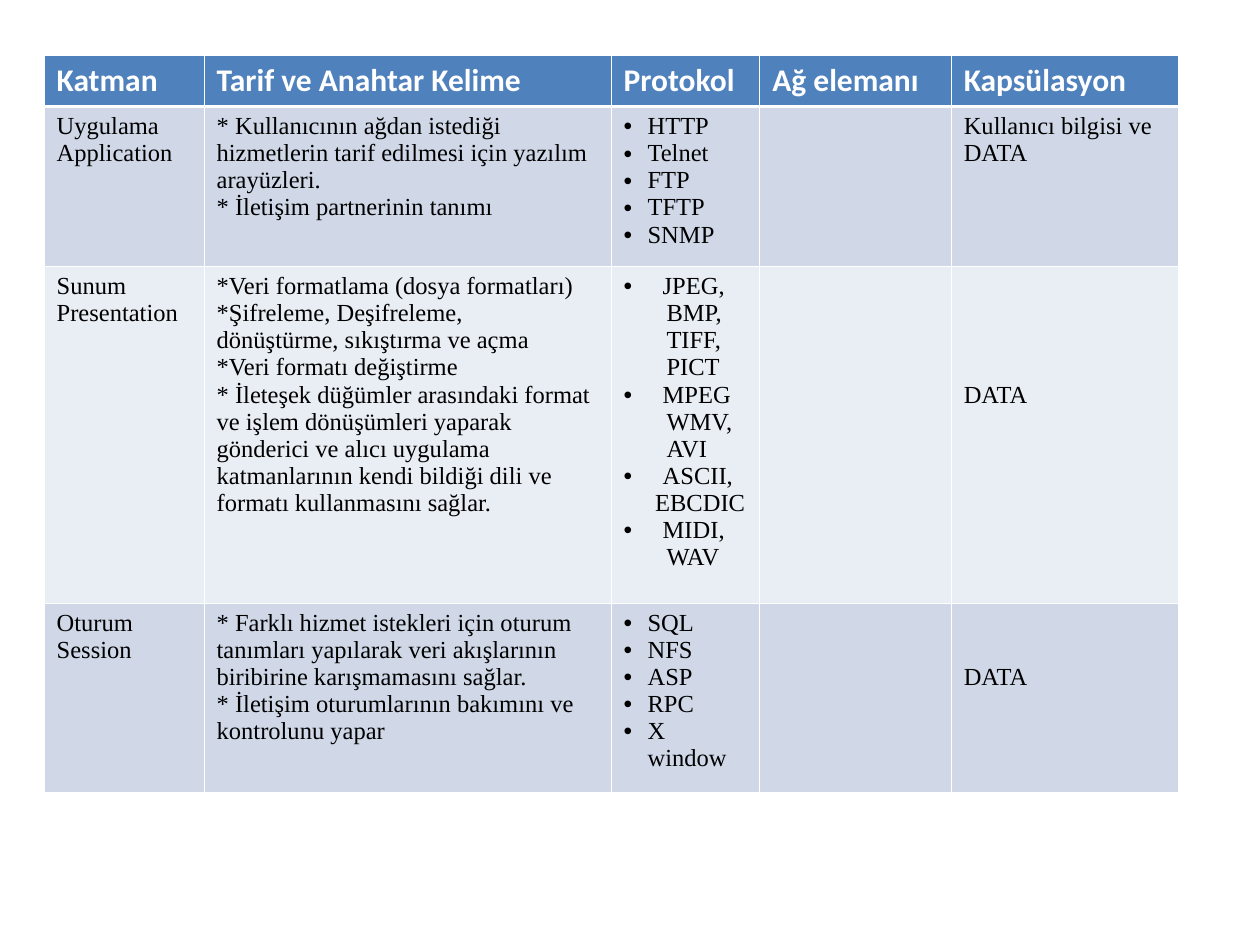
from dataclasses import dataclass

from lxml.etree import SubElement
from pptx import Presentation
from pptx.dml.color import RGBColor as Rgb
from pptx.oxml import parse_xml
from pptx.oxml.ns import nsdecls, qn
from pptx.util import Inches, Pt


@dataclass(frozen=True)
class Theme:
    head: str = "4F81BD"
    bands: tuple = ("D0D8E8", "E9EDF4")
    white: str = "FFFFFF"
    black: str = "000000"
    thin: float = 0.45
    thick: float = 1.47


@dataclass(frozen=True)
class Line:
    text: str
    left: float = 0
    dot: bool = False


LOOK = Theme()
HEAD_FONT = {"name": "Calibri", "size": Pt(18), "bold": True}
BODY_FONT = {"name": "Times New Roman", "size": Pt(14), "bold": False}
PAD = {"margin_left": 0.1, "margin_right": 0.1,
       "margin_top": 0.05, "margin_bottom": 0.05}
ROW_STEP = 0.215  # height of one body line

COLS = (1.27, 3.23, 1.18, 1.52, 1.8)
ROWS = (0.4, 1.27, 2.67, 1.5)
HEADS = ("Katman", "Tarif ve Anahtar Kelime", "Protokol", "Ağ elemanı",
         "Kapsülasyon")


def plain(*texts):
    return [Line(text) for text in texts]


def dots(*texts, left=0.19):
    return [Line(text, left, True) for text in texts]


def group(first, *rest, left=0.34):
    """A bullet with further lines set below it."""
    return dots(first, left=0.31) + [Line(text, left) for text in rest]


# Per layer: cell lines, and how many lines down the last cell starts
LAYERS = (
    ((plain("Uygulama", "Application"),
      plain("* Kullanıcının ağdan istediği hizmetlerin tarif edilmesi için "
            "yazılım arayüzleri.",
            "* İletişim partnerinin tanımı"),
      dots("HTTP", "Telnet", "FTP", "TFTP", "SNMP"),
      [],
      plain("Kullanıcı bilgisi ve DATA")), 0),
    ((plain("Sunum", "Presentation"),
      plain("*Veri formatlama (dosya formatları)",
            "*Şifreleme, Deşifreleme,\vdönüştürme, sıkıştırma ve açma",
            "*Veri formatı değiştirme",
            "* İleteşek düğümler arasındaki format ve işlem dönüşümleri "
            "yaparak gönderici ve alıcı uygulama katmanlarının kendi bildiği "
            "dili ve formatı kullanmasını sağlar."),
      group("JPEG,", "BMP,", "TIFF,", "PICT")
      + group("MPEG", "WMV,", "AVI")
      + group("ASCII,", "EBCDIC", left=0.25)
      + group("MIDI,", "WAV"),
      [],
      plain("DATA")), 4),
    ((plain("Oturum", "Session"),
      plain("* Farklı hizmet istekleri için oturum tanımları yapılarak veri "
            "akışlarının biribirine karışmamasını sağlar.",
            "* İletişim oturumlarının bakımını ve kontrolunu yapar"),
      dots("SQL", "NFS", "ASP", "RPC", "X window"),
      [],
      plain("DATA")), 2),
)


def indent(para, line):
    """Set the left indent and, if wanted, the bullet."""
    props = para._p.get_or_add_pPr()
    props.set("marL", str(Inches(line.left)))
    props.set("indent", str(-Inches(line.left) if line.dot else 0))
    if line.dot:
        tint = SubElement(props, qn("a:buClr"))
        SubElement(tint, qn("a:srgbClr")).set("val", LOOK.black)
        SubElement(props, qn("a:buFont")).set("typeface", "Arial")
        SubElement(props, qn("a:buChar")).set("char", "•")


def write(cell, lines, font, color):
    frame = cell.text_frame
    for num, line in enumerate(lines):
        para = frame.add_paragraph() if num else frame.paragraphs[0]
        indent(para, line)
        para.text = line.text
        for run in para.runs:
            for key, value in font.items():
                setattr(run.font, key, value)
            run.font.color.rgb = Rgb.from_string(color)


def edge(cell, top, base):
    """Draw the four white borders; they go before the fill."""
    widths = {"lnL": LOOK.thin, "lnR": LOOK.thin, "lnT": top, "lnB": base}
    props = cell._tc.get_or_add_tcPr()
    for spot, (tag, width) in enumerate(widths.items()):
        props.insert(spot, parse_xml(
            f'<a:{tag} {nsdecls("a")} w="{Pt(width)}"><a:solidFill>'
            f'<a:srgbClr val="{LOOK.white}"/></a:solidFill></a:{tag}>'))


def style(cell, color, top=LOOK.thin, base=LOOK.thin, drop=0):
    for key, value in PAD.items():
        setattr(cell, key, Inches(value))
    cell.margin_top += Inches(drop * ROW_STEP)
    cell.fill.solid()
    cell.fill.fore_color.rgb = Rgb.from_string(color)
    edge(cell, top, base)


def add_grid(slide):
    table = slide.shapes.add_table(
        len(ROWS), len(COLS), Inches(0.35), Inches(0.44),
        Inches(sum(COLS)), Inches(sum(ROWS))).table
    table.horz_banding = table.first_row = False
    for col, width in zip(table.columns, COLS):
        col.width = Inches(width)
    for row, height in zip(table.rows, ROWS):
        row.height = Inches(height)
    return table


def main():
    deck = Presentation()
    deck.slide_width, deck.slide_height = Inches(10), Inches(7.5)
    slide = deck.slides.add_slide(deck.slide_layouts[6])
    table = add_grid(slide)

    # Header row
    for col, text in enumerate(HEADS):
        cell = table.cell(0, col)
        style(cell, LOOK.head, base=LOOK.thick)
        write(cell, plain(text), HEAD_FONT, LOOK.white)

    # One row for each layer
    for row, (cells, drop) in enumerate(LAYERS, 1):
        for col, lines in enumerate(cells):
            cell = table.cell(row, col)
            style(cell, LOOK.bands[(row - 1) % 2],
                  top=LOOK.thick if row == 1 else LOOK.thin,
                  drop=drop if col == len(COLS) - 1 else 0)
            write(cell, lines, BODY_FONT, LOOK.black)

    deck.save("out.pptx")


if __name__ == "__main__":
    main()
